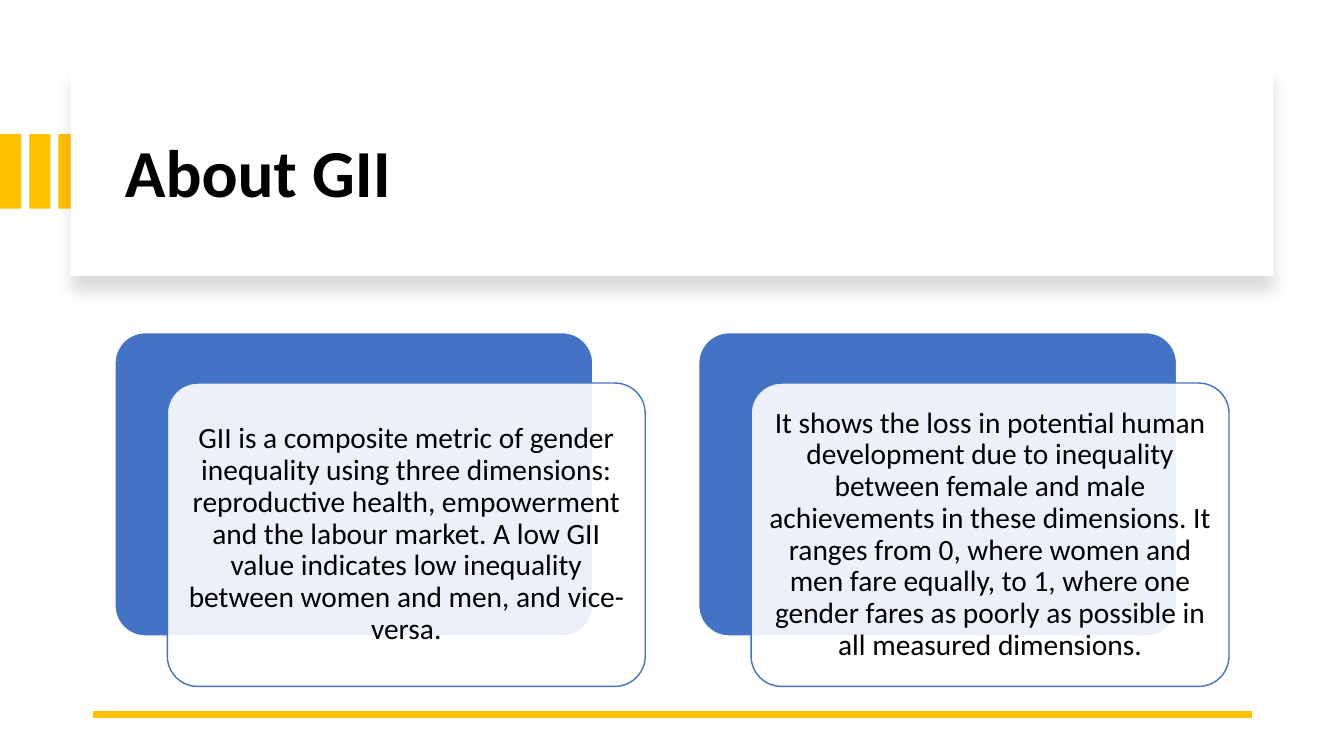
from lxml import etree
from pptx import Presentation
from pptx.dml.color import RGBColor
from pptx.enum.shapes import MSO_CONNECTOR, MSO_SHAPE
from pptx.enum.text import MSO_ANCHOR, PP_ALIGN
from pptx.oxml.ns import qn
from pptx.util import Pt

RECT, ROUND = MSO_SHAPE.RECTANGLE, MSO_SHAPE.ROUNDED_RECTANGLE
STRAIGHT = MSO_CONNECTOR.STRAIGHT
MIDDLE = MSO_ANCHOR.MIDDLE
LEFT, CENTER = PP_ALIGN.LEFT, PP_ALIGN.CENTER
PX = 9144
COLORS = {"gold": "FFC000", "blue": "4472C4", "white": "FFFFFF", "black": "000000"}
CARDS = [
    "GII is a composite metric of gender inequality using three dimensions: "
    "reproductive health, empowerment and the labour market. A low GII value "
    "indicates low inequality between women and men, and vice-versa.",
    "It shows the loss in potential human development due to inequality between "
    "female and male achievements in these dimensions. It ranges from 0, where "
    "women and men fare equally, to 1, where one gender fares as poorly as "
    "possible in all measured dimensions.",
]


def emu(*lengths):
    """Turn px lengths into EMU."""
    return [n * PX for n in lengths]


def rgb(name):
    """Look up a named colour."""
    return RGBColor.from_string(COLORS[name])


def add_box(s, kind, box, fill, line=None):
    """Add a filled shape, with a 1 pt outline if a line colour is given."""
    sp = s.shapes.add_shape(kind, *emu(*box))
    sp.shadow.inherit = False
    sp.fill.solid()
    sp.fill.fore_color.rgb = rgb(fill)
    if line:
        sp.line.color.rgb = rgb(line)
        sp.line.width = Pt(1)
    else:
        sp.line.fill.background()
    if kind == ROUND:
        sp.adjustments[0] = 0.1
    return sp


def add_alpha(color, percent):
    """Give a colour element an opacity."""
    etree.SubElement(color, qn("a:alpha"), val=str(percent * 1000))


def add_shadow(sp):
    """Cast a soft black shadow straight down."""
    effects = sp._element.spPr.find(qn("a:effectLst"))
    shadow = etree.SubElement(
        effects, qn("a:outerShdw"), blurRad=str(Pt(11)), dist=str(Pt(10)),
        dir="5400000", algn="t", rotWithShape="0")
    add_alpha(etree.SubElement(shadow, qn("a:srgbClr"), val=COLORS["black"]), 15)


def add_text(s, box, text, size, align, inset, bold=False):
    """Add a wrapped, vertically centred text box."""
    tf = s.shapes.add_textbox(*emu(*box)).text_frame
    side, edge = emu(*inset)
    frame = {"word_wrap": True, "vertical_anchor": MIDDLE, "margin_left": side,
             "margin_right": side, "margin_top": edge, "margin_bottom": edge}
    p = tf.paragraphs[0]
    r = p.add_run()
    r.text = text
    font = {"name": "Calibri", "size": Pt(size), "bold": bold}
    para = {"alignment": align, "line_spacing": 0.9}
    for target, values in ((tf, frame), (p, para), (r.font, font)):
        for name, value in values.items():
            setattr(target, name, value)
    r.font.color.rgb = rgb("black")


def add_header(s, x, y, w, h):
    """Draw the gold bars, the shadowed panel and the title."""
    for i in range(3):
        add_box(s, RECT, (x - 70 + i * 29, y + 66, 21, 74), "gold")
    add_shadow(add_box(s, RECT, (x, y, w, h), "white"))
    add_text(s, (x + 44, y + 22, w - 80, h - 37), "About GII", 48, LEFT, (10, 5), True)


def add_card(s, x, y, w, h, text):
    """Draw a blue card under an offset, nearly opaque white card with text."""
    add_box(s, ROUND, (x, y, w, h), "blue", "white")
    x, y, pad = x + 52, y + 50, 9
    front = add_box(s, ROUND, (x, y, w, h), "white", "blue")
    add_alpha(front._element.spPr.find(qn("a:solidFill"))[0], 90)
    add_text(s, (x + pad, y + pad, w - 2 * pad, h - 2 * pad), text, 21, CENTER, (8, 9))


def add_rule(s, x, y, w):
    """Draw the gold line at the foot of the slide."""
    rule = s.shapes.add_connector(STRAIGHT, *emu(x + w, y, x, y))
    rule.line.color.rgb = rgb("gold")
    rule.line.width = Pt(4.5)
    etree.SubElement(rule._element.spPr, qn("a:effectLst"))


def main():
    """Build the slide and save it."""
    prs = Presentation()
    prs.slide_width, prs.slide_height = emu(1333, 750)
    s = prs.slides.add_slide(prs.slide_layouts[6])
    add_header(s, 70, 67, 1193, 207)
    add_rule(s, 92, 709, 1150)
    for i, text in enumerate(CARDS):
        add_card(s, 114 + i * 579, 330, 474, 301, text)
    prs.save("out.pptx")


if __name__ == "__main__":
    main()
